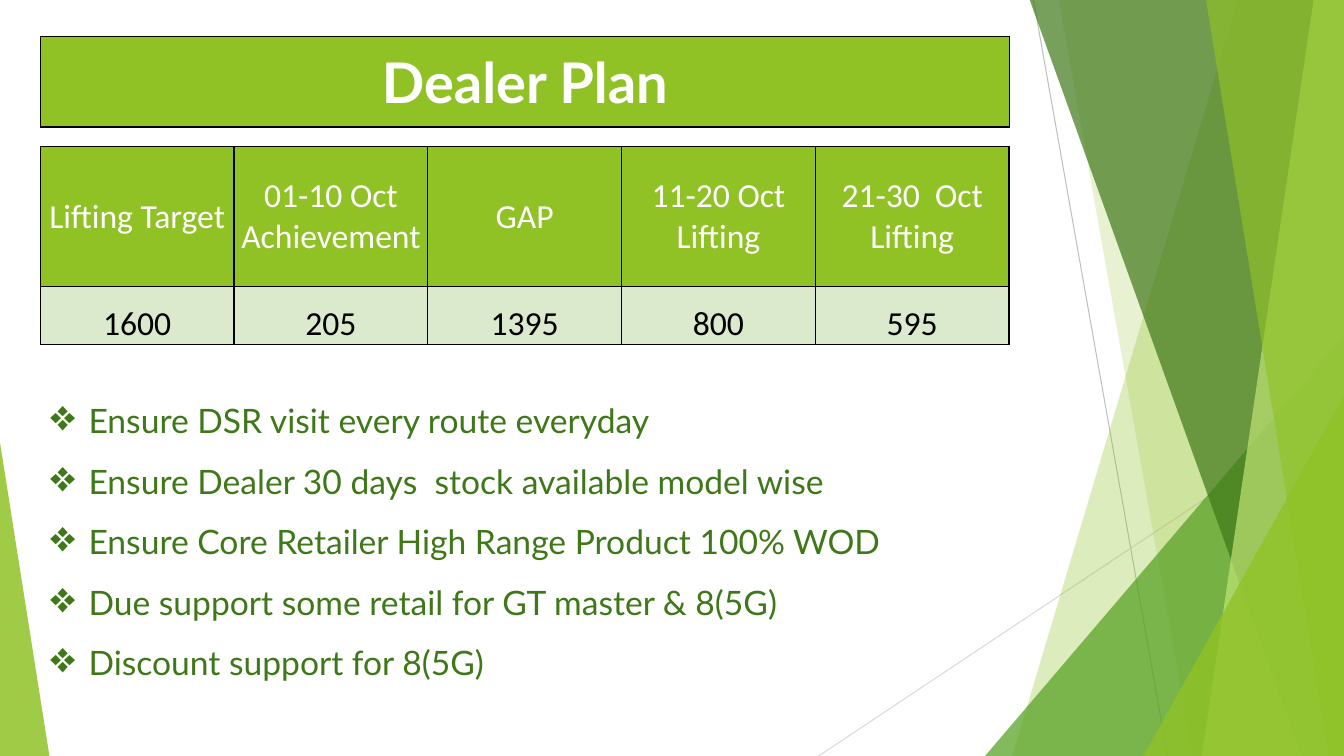
import lxml.etree
import pptx
import pptx.dml.color
import pptx.enum.shapes
import pptx.enum.text
import pptx.oxml.ns
import pptx.util

Inches, Pt = pptx.util.Inches, pptx.util.Pt
RGB = pptx.dml.color.RGBColor.from_string
qn = pptx.oxml.ns.qn
ALIGN, ANCHOR = pptx.enum.text.PP_ALIGN, pptx.enum.text.MSO_ANCHOR
TRIANGLE = pptx.enum.shapes.MSO_SHAPE.ISOSCELES_TRIANGLE
STRAIGHT = pptx.enum.shapes.MSO_CONNECTOR.STRAIGHT

W, H = 13.33, 7.5
LEFT, WIDTH = 0.4, 9.61
COLORS = {
    "lime": "90C226", "green": "54A021", "forest": "3F7819", "pale": "C0E474",
    "mint": "DBE9CD", "white": "FFFFFF", "black": "000000",
    "grey": "BFBFBF", "silver": "D9D9D9",
}


def write(p, text, size=24, font="Calibri", color="white", bold=False, align=ALIGN.CENTER):
    """Add text to paragraph p as one formatted run."""
    p.alignment = align
    r = p.add_run()
    r.text = text
    r.font.size, r.font.name, r.font.bold = Pt(size), font, bold
    r.font.color.rgb = RGB(COLORS[color])


def paint(shape, color, opacity):
    """Fill a shape with a see-through colour, without line or shadow."""
    shape.shadow.inherit = False
    shape.line.fill.background()
    shape.fill.solid()
    shape.fill.fore_color.rgb = RGB(COLORS[color])
    rgb = shape.fill._xPr.find(".//" + qn("a:srgbClr"))
    lxml.etree.SubElement(rgb, qn("a:alpha"), val=str(opacity * 1000))


prs = pptx.Presentation()
prs.slide_width, prs.slide_height = Inches(W), Inches(H)
s = prs.slides.add_slide(prs.slide_layouts[6])

# Thin lines behind the facets
for x1, y1, x2, y2, color in [(10.25, 0, 11.58, H, "grey"), (W, 4.03, 8.12, H, "silver")]:
    line = s.shapes.add_connector(STRAIGHT, Inches(x1), Inches(y1), Inches(x2), Inches(y2))
    line.line.color.rgb = RGB(COLORS[color])
    line.line.width = Pt(0.75)
    lxml.etree.SubElement(line._element.spPr, qn("a:effectLst"))

# Facets reach the right edge: full-height ones slant from head to foot,
# the others are triangles that peak at the edge
facets = [
    ("slant", 12.28, 10.04, "lime", 30),
    ("slant", 10.5, 11.83, "lime", 20),
    ("peak", 3.33, 9.77, "green", 72),
    ("slant", 10.21, 12.91, "forest", 70),
    ("slant", 13.03, 11.92, "pale", 70),
    ("slant", 11.96, 13.18, "lime", 65),
    ("peak", 3.93, 11.34, "lime", 80),
]
for kind, head, foot, color, opacity in facets:
    if kind == "slant":
        outline = s.shapes.build_freeform(Inches(head), Inches(-0.01))
        outline.add_line_segments(
            [(Inches(x), Inches(y)) for x, y in [(W, -0.01), (W, H), (foot, H)]])
        facet = outline.convert_to_shape()
    else:
        facet = s.shapes.add_shape(
            TRIANGLE, Inches(foot), Inches(head), Inches(W - foot), Inches(H - head))
        facet.adjustments[0] = 1
    paint(facet, color, opacity)

wedge = s.shapes.add_shape(TRIANGLE, 0, Inches(4.39), Inches(0.49), Inches(H - 4.39))
wedge.adjustments[0] = 0
paint(wedge, "lime", 85)

# Banner and lifting tables: top, then rows of height, fill, anchor, text format, texts
banner = [(0.9, "lime", ANCHOR.MIDDLE, {"size": 40, "font": "Lato", "bold": True}, ["Dealer Plan"])]
lifting = [
    (1.39, "lime", ANCHOR.MIDDLE, {},
     ["Lifting Target", "01-10 Oct Achievement", "GAP", "11-20 Oct Lifting", "21-30  Oct Lifting"]),
    (0.58, "mint", ANCHOR.BOTTOM, {"color": "black"}, ["1600", "205", "1395", "800", "595"]),
]
for top, rows in [(0.36, banner), (1.45, lifting)]:
    columns = len(rows[0][-1])
    table = s.shapes.add_table(
        len(rows), columns, Inches(LEFT), Inches(top), Inches(WIDTH),
        Inches(sum(row[0] for row in rows))).table
    for column in table.columns:
        column.width = Inches(WIDTH / columns)
    for row, (height, fill, anchor, text_format, texts) in zip(table.rows, rows):
        row.height = Inches(height)
        for cell, text in zip(row.cells, texts):
            if rows is lifting:
                cell.margin_left = cell.margin_right = cell.margin_top = Inches(0.01)
                cell.margin_bottom = 0
            cell.vertical_anchor = anchor
            write(cell.text_frame.paragraphs[0], text, **text_format)
            cell.fill.solid()
            cell.fill.fore_color.rgb = RGB(COLORS[fill])
            tcPr = cell._tc.get_or_add_tcPr()
            for i, side in enumerate(["lnL", "lnR", "lnT", "lnB"]):
                border = lxml.etree.Element(qn("a:" + side), w=str(Pt(1)))
                solid = lxml.etree.SubElement(border, qn("a:solidFill"))
                lxml.etree.SubElement(solid, qn("a:srgbClr"), val=COLORS["black"])
                tcPr.insert(i, border)

# Action points
actions = [
    "Ensure DSR visit every route everyday",
    "Ensure Dealer 30 days  stock available model wise",
    "Ensure Core Retailer High Range Product 100% WOD",
    "Due support some retail for GT master & 8(5G)",
    "Discount support for 8(5G)",
]
tf = s.shapes.add_textbox(Inches(LEFT), Inches(3.72), Inches(WIDTH), Inches(3.17)).text_frame
tf.word_wrap = True
for i, action in enumerate(actions):
    p = tf.add_paragraph() if i else tf.paragraphs[0]
    write(p, action, font="Lato", color="forest", align=ALIGN.LEFT)
    p.line_spacing = 1.5
    pPr = p._p.get_or_add_pPr()
    pPr.set("marL", str(Inches(0.38)))
    pPr.set("indent", str(Inches(-0.38)))
    lxml.etree.SubElement(pPr, qn("a:buSzPct"), val="130000")
    lxml.etree.SubElement(pPr, qn("a:buChar"), char="❖")

prs.save("out.pptx")
